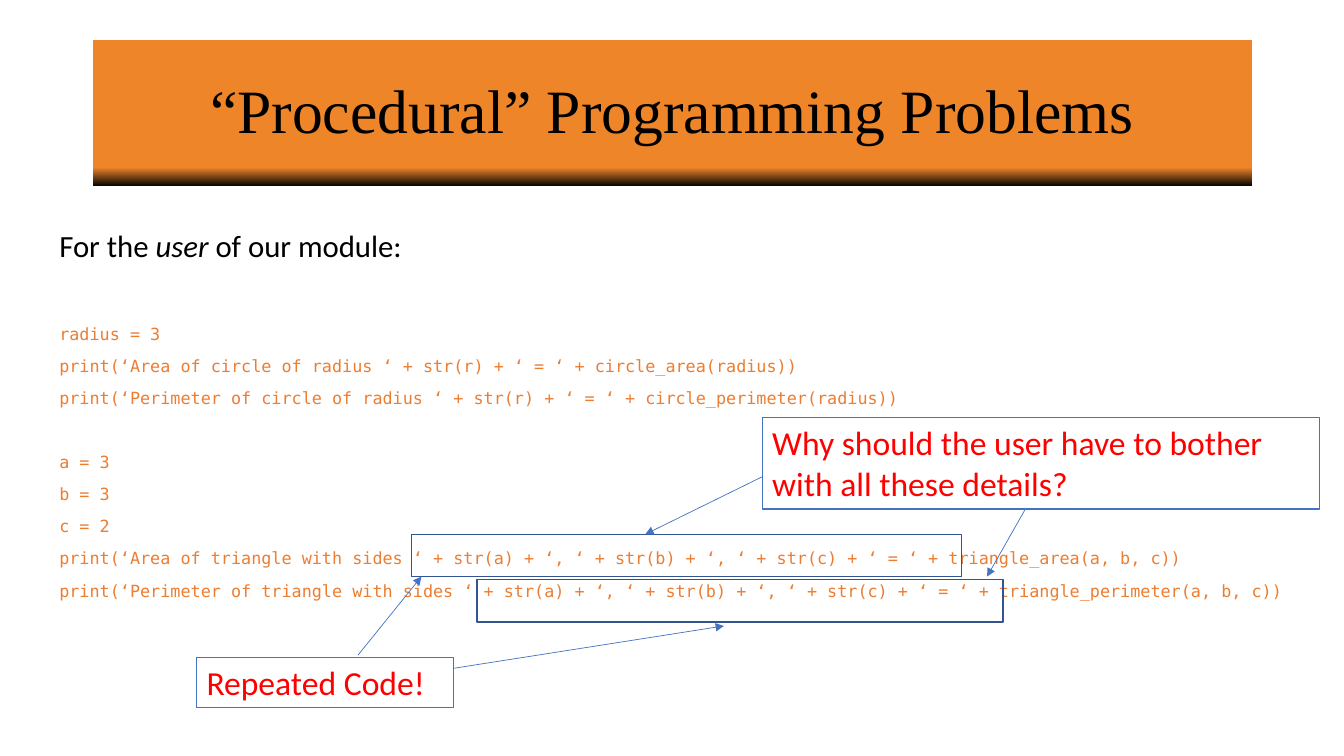
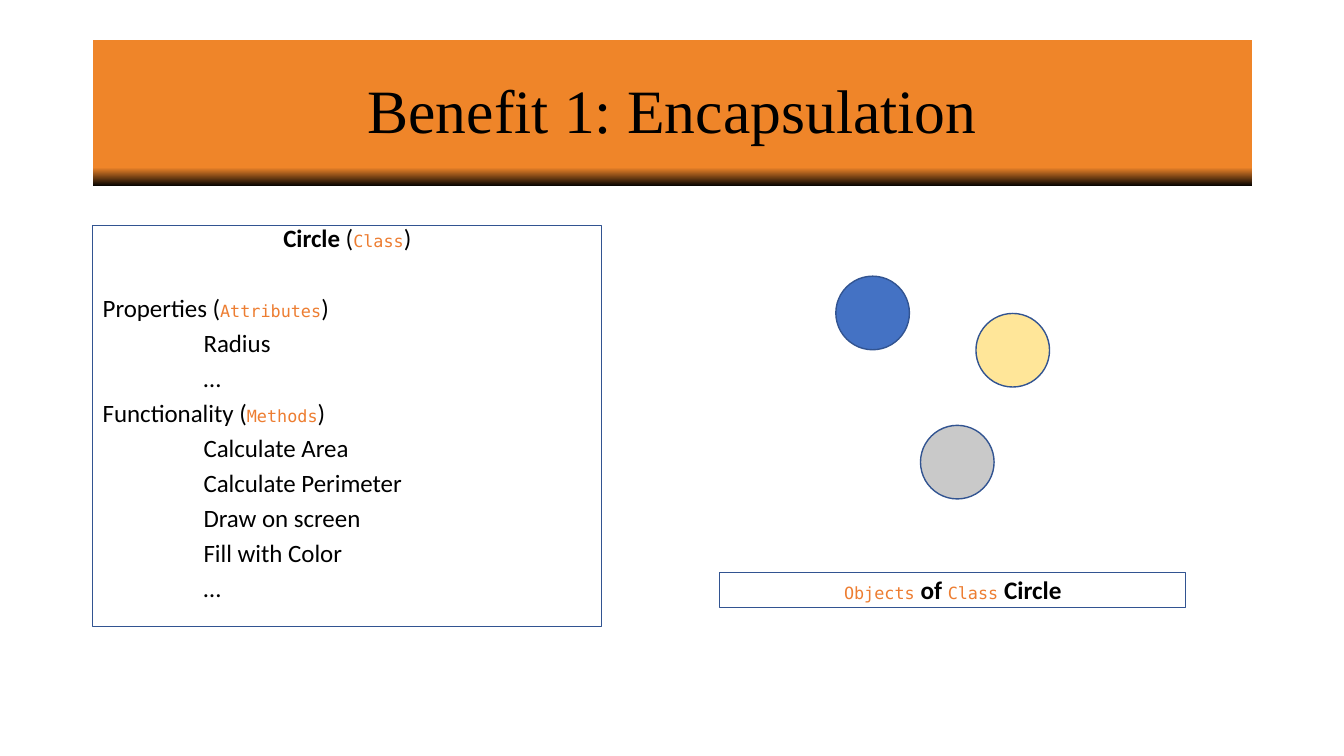
"""Two slides on procedural programming problems and encapsulation."""
from dataclasses import dataclass, replace

from lxml.etree import SubElement
from pptx import Presentation
from pptx.dml.color import RGBColor as RGB
from pptx.enum.shapes import MSO_CONNECTOR as LINK, MSO_SHAPE as SHAPE
from pptx.enum.text import MSO_ANCHOR as ANCHOR, PP_ALIGN as ALIGN
from pptx.oxml.ns import qn
from pptx.util import Inches, Pt


@dataclass(frozen=True)
class Style:
    font: str
    size: float
    color: str
    bold: bool = False
    italic: bool = False


@dataclass(frozen=True)
class Theme:
    band: str = "EF8529"
    band_edge: str = "000000"
    accent: str = "4472C4"
    outline: str = "325491"
    yellow: str = "FFE699"
    grey: str = "C9C9C9"
    title: Style = Style("Times New Roman", 44, "000000")
    lead: Style = Style("Calibri", 22, "000000")
    code: Style = Style("DejaVu Sans Mono", 12, "ED7D31")
    callout: Style = Style("Calibri", 24, "FF0000")
    card: Style = Style("Calibri", 17.8, "000000")
    label: Style = Style("Calibri", 18, "000000", bold=True)


THEME = Theme()


def add_panel(slide, place, kind=SHAPE.RECTANGLE, fill=None, line=None, width=0.75):
    panel = slide.shapes.add_shape(kind, *map(Inches, place))
    panel.shadow.inherit = False
    panel.text_frame.word_wrap = True
    panel.text_frame.vertical_anchor = ANCHOR.TOP
    if fill:
        panel.fill.solid()
        panel.fill.fore_color.rgb = RGB.from_string(fill)
    else:
        panel.fill.background()
    if line:
        panel.line.color.rgb = RGB.from_string(line)
        panel.line.width = Pt(width)
    else:
        panel.line.fill.background()
    return panel


def write(panel, *runs, align=ALIGN.LEFT, spacing=0.9, before=10, indent=0):
    frame = panel.text_frame
    paragraph = frame.paragraphs[0]
    if paragraph.runs:
        paragraph = frame.add_paragraph()
    paragraph.alignment = align
    paragraph.line_spacing = spacing
    paragraph.space_before = Pt(before)
    if indent:
        paragraph._p.get_or_add_pPr().set("marL", str(Inches(indent)))
    for text, style in runs:
        run = paragraph.add_run()
        run.text = text
        run.font.name = style.font
        run.font.size = Pt(style.size)
        run.font.color.rgb = RGB.from_string(style.color)
        run.font.bold = style.bold
        run.font.italic = style.italic


deck = Presentation()
deck.slide_width, deck.slide_height = Inches(13.33), Inches(7.5)

slides = []
for heading in ("“Procedural” Programming Problems", "Benefit 1: Encapsulation"):
    slide = deck.slides.add_slide(deck.slide_layouts[6])
    band = add_panel(slide, (0.92, 0.4, 11.5, 1.45))
    band.fill.gradient()
    band.fill.gradient_angle = 90
    stops = ((0, THEME.band_edge), (0.13, THEME.band))
    for stop, (position, color) in zip(band.fill.gradient_stops, stops):
        stop.position = position
        stop.color.rgb = RGB.from_string(color)
    band.text_frame.vertical_anchor = ANCHOR.MIDDLE
    write(band, (heading, THEME.title), align=ALIGN.CENTER, before=0)
    slides.append(slide)
problems, encapsulation = slides

listing = add_panel(problems, (0.49, 2.24, 12.36, 4.29))
write(listing, ("For the ", THEME.lead), ("user", replace(THEME.lead, italic=True)),
      (" of our module:", THEME.lead))
for code, before in (
    ("radius = 3", 44.2),
    ("print(‘Area of circle of radius ‘ + str(r) + ‘ = ‘ + circle_area(radius))", 10),
    ("print(‘Perimeter of circle of radius ‘ + str(r) + ‘ = ‘ + circle_perimeter(radius))", 10),
    ("a = 3", 32.6),
    ("b = 3", 10),
    ("c = 2", 10),
    ("print(‘Area of triangle with sides ‘ + str(a) + ‘, ‘ + str(b) + ‘, ‘ + str(c)"
     " + ‘ = ‘ + triangle_area(a, b, c))", 10),
    ("print(‘Perimeter of triangle with sides ‘ + str(a) + ‘, ‘ + str(b) + ‘, ‘ + str(c)"
     " + ‘ = ‘ + triangle_perimeter(a, b, c))", 10),
):
    write(listing, (code, THEME.code), before=before)

for remark, place in (
    ("Why should the user have to bother with all these details?", (7.56, 4.14, 5.53, 0.91)),
    ("Repeated Code!", (1.95, 6.52, 2.55, 0.5)),
):
    callout = add_panel(problems, place, line=THEME.accent)
    write(callout, (remark, THEME.callout), spacing=1.0, before=0)

for place in ((4.08, 5.3, 5.46, 0.42), (4.73, 5.75, 5.22, 0.42)):
    add_panel(problems, place, line=THEME.outline, width=1)

for ends in (
    (7.56, 4.73, 6.4, 5.3),
    (10.17, 5.05, 9.79, 5.72),
    (3.55, 6.5, 4.18, 5.72),
    (4.5, 6.63, 7.18, 6.21),
):
    arrow = problems.shapes.add_connector(LINK.STRAIGHT, *map(Inches, ends))
    arrow.line.color.rgb = RGB.from_string(THEME.accent)
    arrow.line.width = Pt(0.5)
    SubElement(arrow.line._get_or_add_ln(), qn("a:tailEnd"), type="triangle")
    SubElement(arrow._element.spPr, qn("a:effectLst"))

class_card = add_panel(encapsulation, (0.92, 2.24, 5.05, 3.98), line=THEME.outline)
write(class_card, ("Circle", replace(THEME.card, bold=True)), (" (", THEME.card),
      ("Class", THEME.code), (")", THEME.card), align=ALIGN.CENTER, spacing=0.7)
for group, term, before, members in (
    ("Properties", "Attributes", 35.2, ("Radius", "…")),
    ("Functionality", "Methods", 10,
     ("Calculate Area", "Calculate Perimeter", "Draw on screen", "Fill with Color", "…")),
):
    write(class_card, (f"{group} (", THEME.card), (term, THEME.code), (")", THEME.card),
          spacing=0.7, before=before)
    for member in members:
        write(class_card, (member, THEME.card), spacing=0.7, indent=1)

for left, top, color in ((8.29, 2.74, THEME.accent), (9.68, 3.11, THEME.yellow),
                         (9.13, 4.22, THEME.grey)):
    add_panel(encapsulation, (left, top, 0.73, 0.73), SHAPE.OVAL, color, THEME.outline, 1)

objects_label = add_panel(encapsulation, (7.14, 5.68, 4.62, 0.35), line=THEME.outline)
write(objects_label, ("Objects", THEME.code), (" of ", THEME.label),
      ("Class", THEME.code), (" Circle", THEME.label), align=ALIGN.CENTER)

deck.save("out.pptx")
